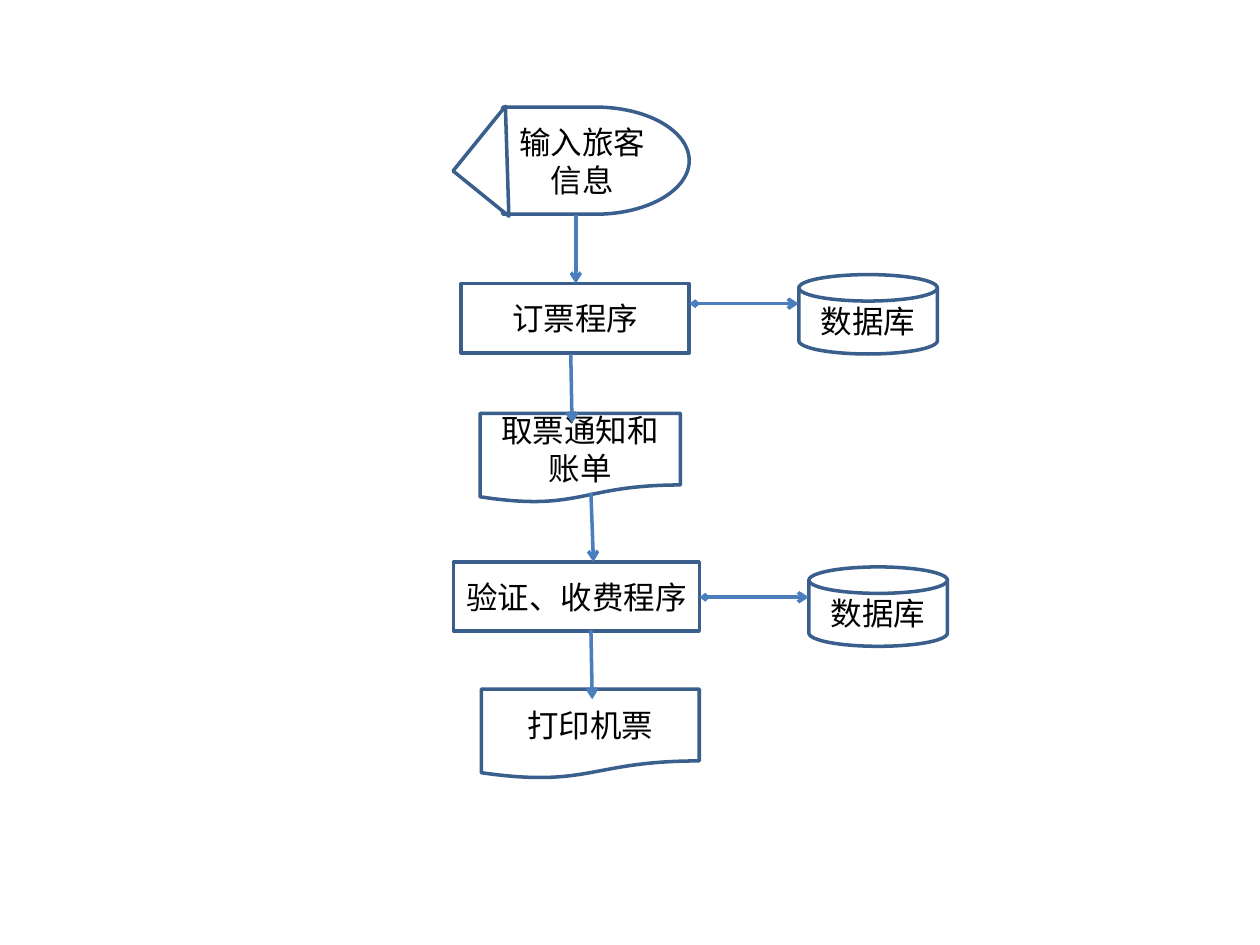
import pptx
import pptx.util
import pptx.dml.color
import pptx.enum.shapes
import pptx.enum.text
import pptx.oxml.ns
import lxml.etree

Inches, Pt = pptx.util.Inches, pptx.util.Pt
SHAPE = pptx.enum.shapes.MSO_SHAPE

OUTLINE, ARROW, PAPER, INK = "3A5F8C", "4B7EBC", "FFFFFF", "000000"

# Symbols: preset, text, left, top, width, height, rotation
symbols = [
    (SHAPE.FLOWCHART_DELAY, "输入旅客信息", 3.99, 0.85, 1.48, 0.85, 0),
    (SHAPE.RIGHT_TRIANGLE, "", 3.74, 0.95, 0.57, 0.66, 39),
    (SHAPE.FLOWCHART_PROCESS, "订票程序", 3.66, 2.25, 1.81, 0.55, 0),
    (SHAPE.FLOWCHART_MAGNETIC_DISK, "数据库", 6.34, 2.18, 1.1, 0.63, 0),
    (SHAPE.FLOWCHART_DOCUMENT, "取票通知和账单", 3.81, 3.28, 1.59, 0.71, 0),
    (SHAPE.FLOWCHART_PROCESS, "验证、收费程序", 3.6, 4.46, 1.95, 0.55, 0),
    (SHAPE.FLOWCHART_MAGNETIC_DISK, "数据库", 6.42, 4.5, 1.1, 0.63, 0),
    (SHAPE.FLOWCHART_DOCUMENT, "打印机票", 3.82, 5.47, 1.73, 0.71, 0),
]

# Flows: start x, start y, end x, end y, runs both ways
flows = [
    (4.57, 1.71, 4.57, 2.25, False),
    (4.53, 2.81, 4.54, 3.36, False),
    (5.47, 2.41, 6.34, 2.41, True),
    (4.69, 3.91, 4.71, 4.46, False),
    (5.55, 4.74, 6.42, 4.74, True),
    (4.69, 5.0, 4.7, 5.55, False),
]


def color(hex_value):
    return pptx.dml.color.RGBColor.from_string(hex_value)


def set_line(line, hex_value):
    line.color.rgb = color(hex_value)
    line.width = Pt(2)


def add_symbol(slide, preset, text, left, top, width, height, rotation):
    symbol = slide.shapes.add_shape(
        preset, Inches(left), Inches(top), Inches(width), Inches(height))
    symbol.rotation = rotation
    symbol.shadow.inherit = False
    symbol.fill.solid()
    symbol.fill.fore_color.rgb = color(PAPER)
    set_line(symbol.line, OUTLINE)
    if not text:
        return
    frame = symbol.text_frame
    frame.word_wrap = True
    frame.margin_left = frame.margin_right = Inches(0.05)
    frame.vertical_anchor = pptx.enum.text.MSO_ANCHOR.MIDDLE
    label = frame.paragraphs[0]
    label.text = text
    label.alignment = pptx.enum.text.PP_ALIGN.CENTER
    label.font.name = "Calibri"
    label.font.size = Pt(18)
    label.font.color.rgb = color(INK)


def add_flow(slide, x1, y1, x2, y2, both_ways):
    flow = slide.shapes.add_connector(
        pptx.enum.shapes.MSO_CONNECTOR.STRAIGHT,
        Inches(x1), Inches(y1), Inches(x2), Inches(y2))
    set_line(flow.line, ARROW)
    # Arrowheads, and no shadow
    qn = pptx.oxml.ns.qn
    properties = flow.element.spPr
    outline = properties.find(qn("a:ln"))
    if both_ways:
        lxml.etree.SubElement(outline, qn("a:headEnd"), type="arrow", w="sm", len="sm")
    lxml.etree.SubElement(outline, qn("a:tailEnd"), type="arrow")
    lxml.etree.SubElement(properties, qn("a:effectLst"))


def main():
    deck = pptx.Presentation()
    deck.slide_width, deck.slide_height = Inches(10), Inches(7.5)
    slide = deck.slides.add_slide(deck.slide_layouts[6])
    for symbol in symbols:
        add_symbol(slide, *symbol)
    for flow in flows:
        add_flow(slide, *flow)
    deck.save("out.pptx")


if __name__ == "__main__":
    main()
